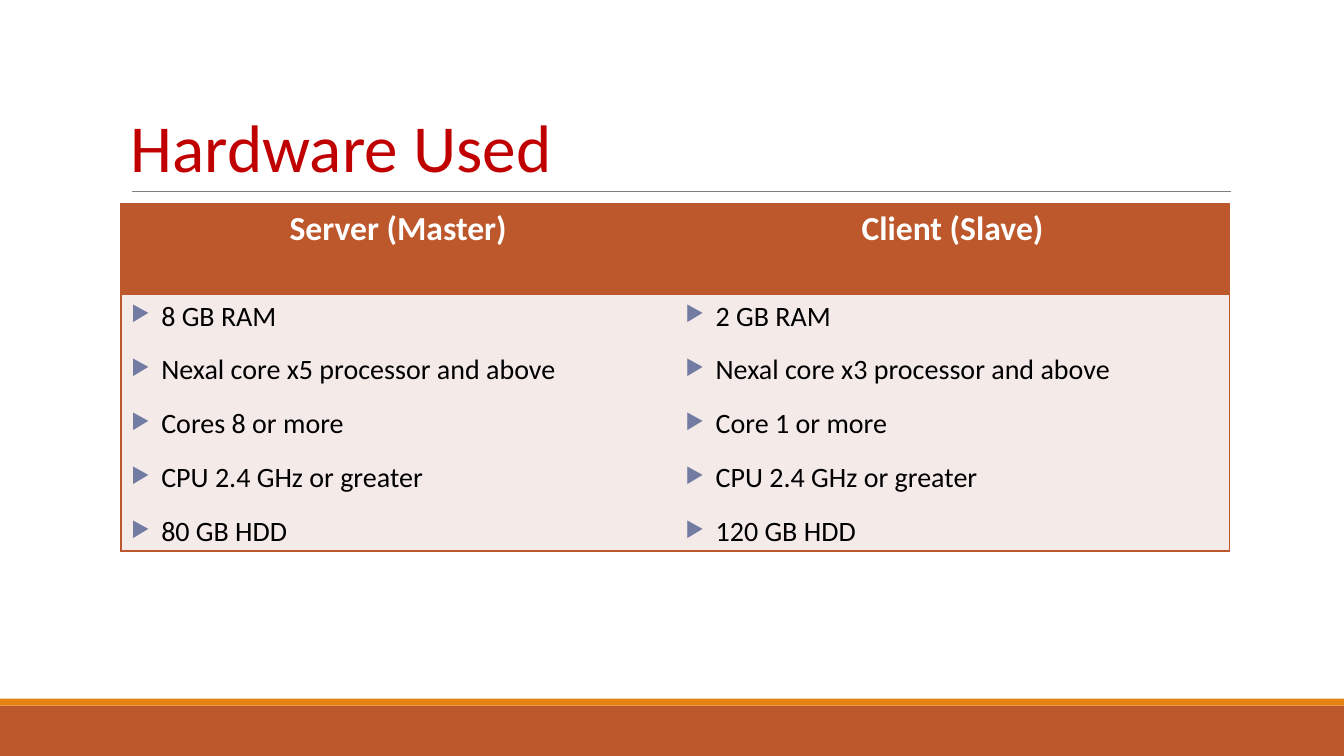
from dataclasses import dataclass

from lxml.etree import SubElement
from pptx import Presentation
from pptx.dml.color import RGBColor
from pptx.enum.shapes import MSO_CONNECTOR, MSO_SHAPE
from pptx.enum.text import MSO_ANCHOR, PP_ALIGN
from pptx.oxml import parse_xml
from pptx.oxml.ns import nsdecls, qn
from pptx.util import Emu, Inches, Pt

FONT = "Calibri"
RUST = "BD582C"
ORANGE = "E48312"
PALE = "F4EAE8"
NO_STYLE = "{2D5ABB26-0587-4C30-8999-92F81FD0307C}"


@dataclass(frozen=True)
class Box:
    left: float
    top: float
    width: float
    height: float


@dataclass(frozen=True)
class Machine:
    heading: str
    features: tuple[str, ...]


MACHINES = (
    Machine("Server (Master)", (
        "8 GB RAM", "Nexal core x5 processor and above", "Cores 8 or more",
        "CPU 2.4 GHz or greater", "80 GB HDD")),
    Machine("Client (Slave)", (
        "2 GB RAM", "Nexal core x3 processor and above", "Core 1 or more",
        "CPU 2.4 GHz or greater", "120 GB HDD")),
)
BANDS = ((Box(0, 93.33, 100, 6.67), RUST), (Box(0, 92.4, 100, 0.93), ORANGE))
TITLE = Box(9, 4.13, 82.5, 21.2)
RULE = Box(9.83, 25.33, 81.77, 0)
TABLE = Box(9, 26.93, 82.5, 45.87)
HEADER_ROWS = 12

presentation = Presentation()
presentation.slide_width = Inches(13.33)
presentation.slide_height = Inches(7.5)
slide = presentation.slides.add_slide(presentation.slide_layouts[6])


def across(columns: float) -> Emu:
    return Emu(round(presentation.slide_width * columns / 100))


def down(rows: float) -> Emu:
    return Emu(round(presentation.slide_height * rows / 100))


def place(box: Box) -> tuple[Emu, Emu, Emu, Emu]:
    return across(box.left), down(box.top), across(box.width), down(box.height)


def paint(target, color: str) -> None:
    target.fill.solid()
    target.fill.fore_color.rgb = RGBColor.from_string(color)


def style(paragraph, size: float, color: str, bold: bool = False) -> None:
    for run in paragraph.runs:
        run.font.name = FONT
        run.font.size = Pt(size)
        run.font.bold = bold
        run.font.color.rgb = RGBColor.from_string(color)


def add_band(box: Box, color: str) -> None:
    band = slide.shapes.add_shape(MSO_SHAPE.RECTANGLE, *place(box))
    band.shadow.inherit = False
    paint(band, color)
    band.line.fill.background()


def add_rule(box: Box) -> None:
    left, top, width, height = place(box)
    rule = slide.shapes.add_connector(
        MSO_CONNECTOR.STRAIGHT, left, top, left + width, top + height)
    rule.line.color.rgb = RGBColor.from_string("808080")
    rule.line.width = Pt(0.5)
    SubElement(rule._element.spPr, qn("a:effectLst"))


def add_title(box: Box, text: str) -> None:
    text_frame = slide.shapes.add_textbox(*place(box)).text_frame
    text_frame.word_wrap = True
    text_frame.vertical_anchor = MSO_ANCHOR.BOTTOM
    text_frame.text = text
    paragraph = text_frame.paragraphs[0]
    paragraph.line_spacing = 0.85
    style(paragraph, 48, "C00000")


def add_bullet(paragraph) -> None:
    paragraph.space_before = Pt(12)
    paragraph.space_after = Pt(2)
    properties = paragraph._p.get_or_add_pPr()
    properties.set("marL", str(Inches(0.3)))
    properties.set("indent", str(Inches(-0.3)))
    color = SubElement(properties, qn("a:buClr"))
    SubElement(color, qn("a:srgbClr"), val="727CA3")
    SubElement(properties, qn("a:buSzPct"), val="76000")
    SubElement(properties, qn("a:buChar"), char="▶")


def add_borders(cell, sides: str) -> None:
    properties = cell._tc.get_or_add_tcPr()
    for position, side in enumerate(sides):
        properties.insert(position, parse_xml(
            f'<a:ln{side} {nsdecls("a")} w="{Pt(1)}"><a:solidFill>'
            f'<a:srgbClr val="{RUST}"/></a:solidFill></a:ln{side}>'))


def add_machine_table(box: Box, machines: tuple[Machine, ...]) -> None:
    table = slide.shapes.add_table(2, len(machines), *place(box)).table
    table.first_row = table.horz_banding = False
    table._tbl.tblPr.find(qn("a:tableStyleId")).text = NO_STYLE
    table.rows[0].height = down(HEADER_ROWS)
    table.rows[1].height = down(box.height - HEADER_ROWS)
    for column, machine in enumerate(machines):
        header, body = table.cell(0, column), table.cell(1, column)
        header.text_frame.text = machine.heading
        body.text_frame.text = "\n".join(machine.features)
        paint(header, RUST)
        paint(body, PALE)
        heading = header.text_frame.paragraphs[0]
        heading.alignment = PP_ALIGN.CENTER
        style(heading, 24, "FFFFFF", bold=True)
        for paragraph in body.text_frame.paragraphs:
            add_bullet(paragraph)
            style(paragraph, 20, "000000")
        outer = "L" if column == 0 else "R" if column == len(machines) - 1 else ""
        for cell in (header, body):
            add_borders(cell, outer + "TB")


for band_box, band_color in BANDS:
    add_band(band_box, band_color)
add_rule(RULE)
add_title(TITLE, "Hardware Used")
add_machine_table(TABLE, MACHINES)

presentation.save("out.pptx")
